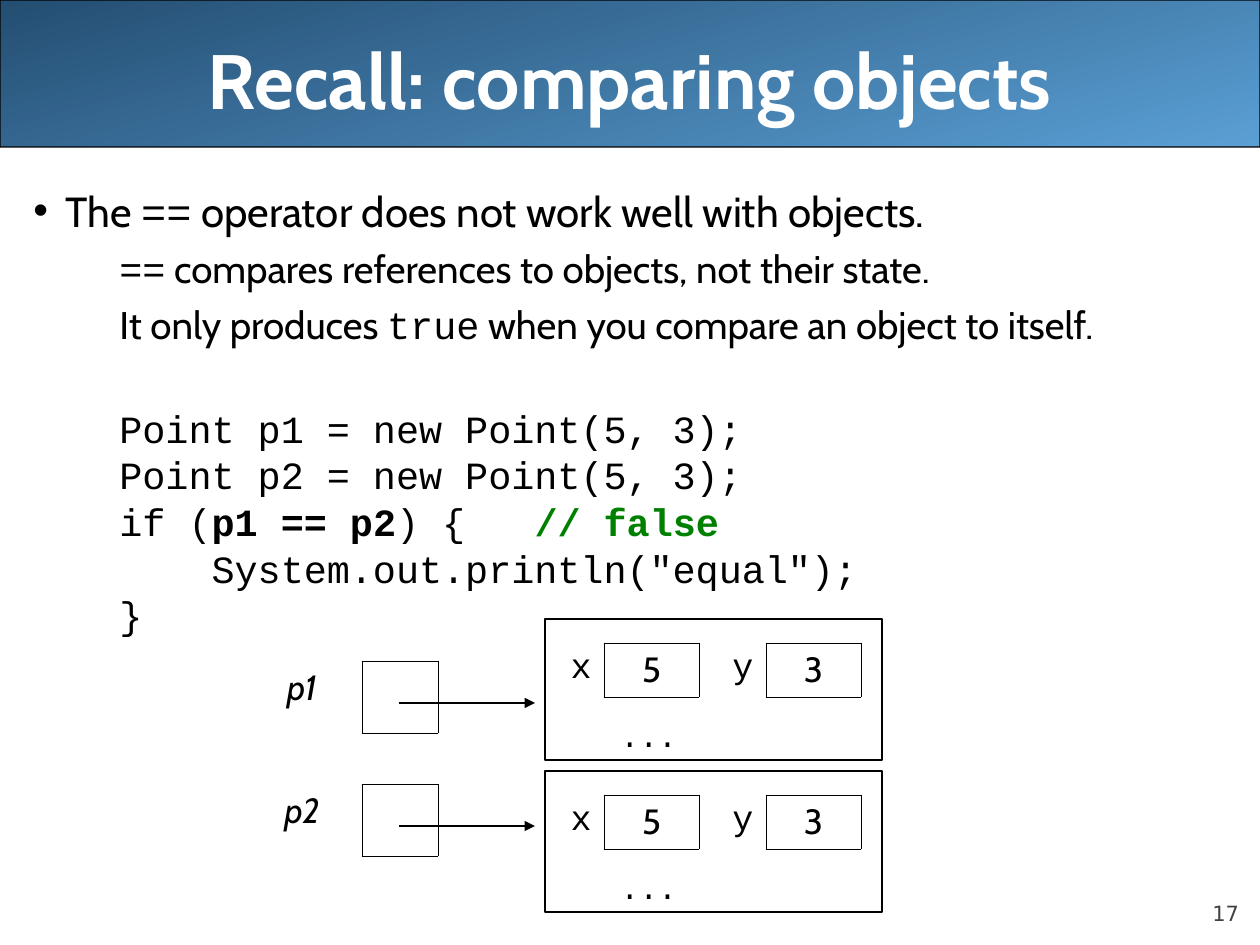
import pptx
import pptx.dml.color
import pptx.enum.dml
import pptx.enum.shapes
import pptx.enum.text
import pptx.oxml
import pptx.oxml.ns
import pptx.util

RGB = pptx.dml.color.RGBColor
PT = pptx.util.Pt
SHAPE = pptx.enum.shapes.MSO_SHAPE
ALIGN = pptx.enum.text.PP_ALIGN
ANCHOR = pptx.enum.text.MSO_ANCHOR

BLACK = RGB(0x00, 0x00, 0x00)
WHITE = RGB(0xFF, 0xFF, 0xFF)
GREY = RGB(0x42, 0x42, 0x42)
GREEN = RGB(0x00, 0x80, 0x00)
LIGHT_BLUE = RGB(0x5A, 0x9F, 0xD4)
DARK_BLUE = RGB(0x24, 0x4E, 0x72)

SANS = "Cabin"
MONO = "Courier New"
NUMBER_FONT = "DejaVu Sans"

EMU_PER_PX = 914400 / 126
BORDER_PT = 0.45


def px(n):
    return pptx.util.Emu(round(n * EMU_PER_PX))


def box_px(box):
    return [px(n) for n in box]


def xml(tag, attrs="", inner=""):
    return pptx.oxml.parse_xml(
        f'<a:{tag} {pptx.oxml.ns.nsdecls("a")} {attrs}>{inner}</a:{tag}>')


def add_run(p, text, size, font=SANS, color=BLACK, bold=False, italic=False):
    r = p.add_run()
    r.text = text
    r.font.size, r.font.name = PT(size), font
    r.font.bold, r.font.italic = bold, italic
    r.font.color.rgb = color


def set_margins(tf, n):
    tf.margin_left = tf.margin_right = tf.margin_top = tf.margin_bottom = px(n)


def add_header(slide, box, title_box, text):
    """Gradient band with the title placeholder on top of it."""
    band = slide.shapes.add_shape(SHAPE.ROUNDED_RECTANGLE, *box_px(box))
    band.adjustments[0] = 0.001
    band.shadow.inherit = False
    band.fill.gradient()
    band.fill.gradient_angle = 105
    for stop, color in zip(band.fill.gradient_stops, (LIGHT_BLUE, DARK_BLUE)):
        stop.color.rgb = color
    band.line.color.rgb, band.line.width = BLACK, PT(0.75)

    title = slide.shapes.title
    title.left, title.top, title.width, title.height = box_px(title_box)
    title.text_frame.vertical_anchor = ANCHOR.MIDDLE
    p = title.text_frame.paragraphs[0]
    p.alignment = ALIGN.CENTER
    add_run(p, text, 44, color=WHITE, bold=True)
    band.element.addnext(title.element)


def set_indent(p, left, first):
    p_pr = p._p.get_or_add_pPr()
    p_pr.set("marL", str(px(left)))
    p_pr.set("indent", str(px(first)))
    return p_pr


def add_body(slide, box):
    tf = slide.shapes.add_textbox(*box_px(box)).text_frame
    tf.word_wrap = True

    p = tf.paragraphs[0]
    p_pr = set_indent(p, 32, -32)
    p_pr.append(xml("buClr", inner='<a:srgbClr val="000000"/>'))
    p_pr.append(xml("buFont", 'typeface="Arial"'))
    p_pr.append(xml("buChar", 'char="•"'))
    add_run(p, "The ", 24)
    add_run(p, "==", 24, MONO)
    add_run(p, " operator does not work well with objects.", 24)

    code = {"font": MONO}
    notes = [
        [("\t==", code),
         (" compares references to objects, not their state.", {})],
        [("\tIt only produces ", {}), ("true", code),
         (" when you compare an object to itself.", {})],
    ]
    listing = [
        [("\tPoint p1 = new Point(5, 3);", code)],
        [("\tPoint p2 = new Point(5, 3);", code)],
        [("\tif (", code), ("p1 == p2", {"font": MONO, "bold": True}),
         (") {   ", code),
         ("// false", {"font": MONO, "bold": True, "color": GREEN})],
        [('\t    System.out.println("equal");', code)],
        [("\t}", code)],
    ]
    for lines, spacing, first_gap in ((notes, 1.0, 5.5), (listing, 0.8, 38)):
        for i, runs in enumerate(lines):
            p = tf.add_paragraph()
            p.level = 1
            set_indent(p, 86, -39)
            p.line_spacing = spacing
            p.space_before = PT(5.5 if i else first_gap)
            for text, style in runs:
                add_run(p, text, 22, **style)


def set_borders(cell, sides):
    """Draw the named sides (of L, R, T, B) and clear the others."""
    tc_pr = cell._tc.get_or_add_tcPr()
    for i, side in enumerate("LRTB"):
        paint = ('<a:solidFill><a:srgbClr val="000000"/></a:solidFill>'
                 if side in sides else "<a:noFill/>")
        tc_pr.insert(i, xml("ln" + side, f'w="{PT(BORDER_PT)}"', paint))


def add_cells(slide, left, top, height, cells):
    """One-row table; each cell is (width, text, style, sides, left margin)."""
    width = sum(cell[0] for cell in cells)
    table = slide.shapes.add_table(
        1, len(cells), *box_px((left, top, width, height))).table
    table.first_row = table.horz_banding = False
    table.rows[0].height = px(height)
    for i, (w, text, style, sides, margin) in enumerate(cells):
        table.columns[i].width = px(w)
        cell = table.cell(0, i)
        cell.margin_left, cell.margin_right = px(margin), 0
        cell.margin_top = cell.margin_bottom = px(6)
        cell.fill.background()
        set_borders(cell, sides)
        p = cell.text_frame.paragraphs[0]
        p.alignment = ALIGN.CENTER
        if text:
            add_run(p, text, 20, **style)


def add_variable(slide, left, top, name):
    """Name, reference cell and the arrow to its object."""
    add_cells(slide, left, top, 72, [
        (120, name, {"italic": True}, "R", 0),
        (76, "", {}, "LRTB", 0),
    ])
    y = top + 42
    arrow = slide.shapes.add_connector(
        pptx.enum.shapes.MSO_CONNECTOR.STRAIGHT,
        *box_px((left + 157, y, left + 293, y)))
    arrow.line.color.rgb, arrow.line.width = BLACK, PT(1.5)
    arrow.line._get_or_add_ln().append(xml("tailEnd", 'type="triangle"'))
    arrow._element.spPr.append(xml("effectLst"))


def add_object(slide, left, top, x, y):
    sp = slide.shapes.add_shape(SHAPE.RECTANGLE,
                                *box_px((left, top, 337, 141)))
    sp.shadow.inherit = False
    sp.fill.background()
    sp.line.color.rgb, sp.line.width = BLACK, PT(0.75)
    tf = sp.text_frame
    tf.vertical_anchor = ANCHOR.BOTTOM
    p = tf.paragraphs[0]
    p.alignment = ALIGN.LEFT
    set_indent(p, 63, 0)
    add_run(p, "...", 18, MONO)
    add_cells(slide, left + 13, top + 24, 54, [
        (46, "x", {"font": MONO}, "R", 0),
        (95, x, {}, "LRTB", 0),
        (67, "y", {"font": MONO}, "LR", 21),
        (95, y, {}, "LRTB", 0),
    ])


def add_slide_number(slide, box, text):
    tf = slide.shapes.add_textbox(*box_px(box)).text_frame
    tf.word_wrap = True
    set_margins(tf, 0)
    tf.vertical_anchor = ANCHOR.BOTTOM
    p = tf.paragraphs[0]
    p.alignment = ALIGN.RIGHT
    add_run(p, text, 12, NUMBER_FONT, GREY)


def main():
    prs = pptx.Presentation()
    prs.slide_width, prs.slide_height = px(1260), px(945)
    slide = prs.slides.add_slide(prs.slide_layouts[5])
    add_header(slide, (0, 0, 1260, 147), (63, 0, 1134, 157),
               "Recall: comparing objects")
    add_slide_number(slide, (1134, 876, 105, 50), "17")
    add_body(slide, (21, 179, 1239, 714))
    for i, name in enumerate(("p1", "p2")):
        add_object(slide, 545, 619 + 152 * i, "5", "3")
        add_variable(slide, 242, 661 + 123 * i, name)
    prs.save("out.pptx")


if __name__ == "__main__":
    main()
